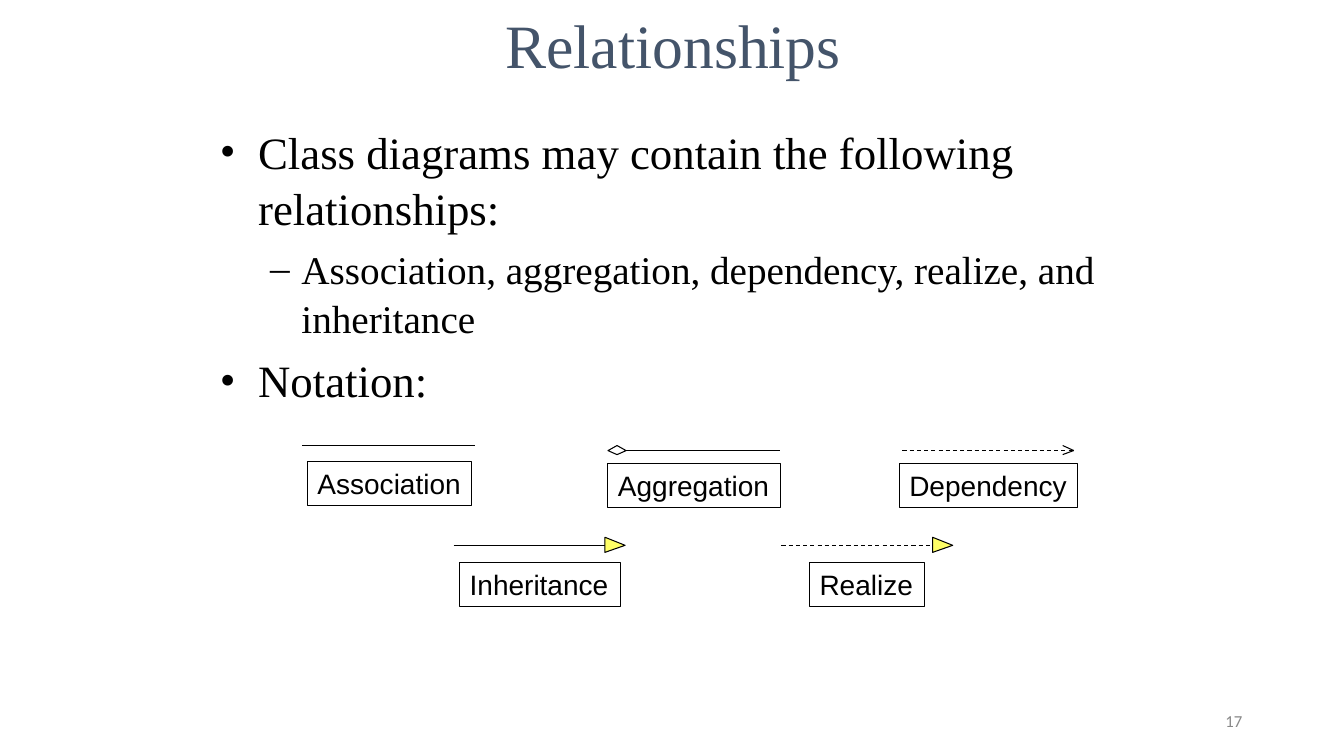
from dataclasses import dataclass

from lxml import etree
from pptx import Presentation
from pptx.dml.color import RGBColor
from pptx.enum.dml import MSO_LINE
from pptx.enum.shapes import MSO_CONNECTOR, MSO_SHAPE
from pptx.enum.text import MSO_ANCHOR, PP_ALIGN
from pptx.oxml.ns import qn
from pptx.util import Pt

PX = 9144  # EMU in one px, 100 px to the inch
STRAIGHT = MSO_CONNECTOR.STRAIGHT
RECTANGLE = MSO_SHAPE.RECTANGLE
DASH = MSO_LINE.DASH
TOP, MIDDLE = MSO_ANCHOR.TOP, MSO_ANCHOR.MIDDLE
LEFT, CENTER, RIGHT = PP_ALIGN.LEFT, PP_ALIGN.CENTER, PP_ALIGN.RIGHT


@dataclass(frozen=True)
class Theme:
    ink: str = "000000"
    heading: str = "44546A"
    muted: str = "888888"
    paper: str = "FFFFFF"
    arrow: str = "FFFF66"
    serif: str = "Times New Roman"
    sans: str = "Arial"
    footer: str = "Calibri"
    title_size: int = 44
    body_size: int = 32
    detail_size: int = 28
    label_size: int = 20
    number_size: int = 12
    line_width: float = 0.75
    body_spacing: float = 1.05


class Board:
    def __init__(self, page, theme):
        self.page = page
        self.theme = theme

    def stroke(self, shape):
        shape.line.color.rgb = RGBColor.from_string(self.theme.ink)
        shape.line.width = Pt(self.theme.line_width)

    def frame(self, shape, anchor, wrap=True, inset=(10, 5)):
        across, down = (value * PX for value in inset)
        settings = {
            "word_wrap": wrap, "vertical_anchor": anchor,
            "margin_left": across, "margin_right": across,
            "margin_top": down, "margin_bottom": down,
        }
        for name, value in settings.items():
            setattr(shape.text_frame, name, value)
        return shape.text_frame

    def add_span(self, para, text, size, font, color, align=LEFT):
        para.alignment = align
        span = para.add_run()
        span.text = text
        for name, value in {"size": Pt(size), "name": font}.items():
            setattr(span.font, name, value)
        span.font.color.rgb = RGBColor.from_string(color)

    def text(self, place, text, size, font, color, align):
        box = self.page.shapes.add_textbox(*(value * PX for value in place))
        para = self.frame(box, MIDDLE).paragraphs[0]
        self.add_span(para, text, size, font, color, align)

    def bullets(self, place, items):
        """Items are (text, level, size, mark, left px, hanging px, points before)."""
        theme = self.theme
        box = self.page.shapes.add_textbox(*(value * PX for value in place))
        frame = self.frame(box, TOP, inset=(12, 6))
        for index, (text, level, size, mark, left, hanging, before) in enumerate(items):
            para = frame.add_paragraph() if index else frame.paragraphs[0]
            settings = {"level": level, "space_before": Pt(before),
                        "line_spacing": theme.body_spacing}
            for name, value in settings.items():
                setattr(para, name, value)
            self.add_span(para, text, size, theme.serif, theme.ink)
            self.mark(para, mark, left, hanging)

    def mark(self, para, mark, left, hanging):
        properties = para._p.get_or_add_pPr()
        properties.set("marL", str(left * PX))
        properties.set("indent", str(-hanging * PX))
        color = etree.SubElement(properties, qn("a:buClr"))
        etree.SubElement(color, qn("a:srgbClr"), val=self.theme.ink)
        etree.SubElement(properties, qn("a:buFont"), typeface=self.theme.serif)
        etree.SubElement(properties, qn("a:buChar"), char=mark)

    def line(self, start, end, dashed=False):
        ends = (value * PX for value in (*start, *end))
        line = self.page.shapes.add_connector(STRAIGHT, *ends)
        self.stroke(line)
        if dashed:
            line.line.dash_style = DASH
        etree.SubElement(line._element.spPr, qn("a:effectLst"))

    def outline(self, points, fill):
        builder = self.page.shapes.build_freeform(*points[0], scale=PX)
        builder.add_line_segments(points[1:], close=True)
        shape = builder.convert_to_shape()
        shape.shadow.inherit = False
        shape.fill.solid()
        shape.fill.fore_color.rgb = RGBColor.from_string(fill)
        self.stroke(shape)

    def label(self, place, text):
        theme = self.theme
        shape = self.page.shapes.add_shape(RECTANGLE, *(value * PX for value in place))
        shape.shadow.inherit = False
        shape.fill.background()
        self.stroke(shape)
        para = self.frame(shape, TOP, wrap=False).paragraphs[0]
        self.add_span(para, text, theme.label_size, theme.sans, theme.ink)

    def diamond(self, x, y):
        points = [(x, y), (x + 9, y + 4), (x + 18, y), (x + 9, y - 5)]
        self.outline(points, self.theme.paper)

    def triangle(self, x, y):
        points = [(x, y), (x - 20, y + 7), (x - 20, y - 8)]
        self.outline(points, self.theme.arrow)

    def open_arrow(self, x, y):
        for rise in (4, -5):
            self.line((x, y), (x - 11, y + rise))


def main():
    deck = Presentation()
    deck.slide_width, deck.slide_height = 1333 * PX, 750 * PX
    page = deck.slides.add_slide(deck.slide_layouts[6])
    theme = Theme()
    board = Board(page, theme)

    board.text((942, 695, 300, 40), "17", theme.number_size, theme.footer,
               theme.muted, RIGHT)
    board.text((176, 14, 984, 58), "Relationships", theme.title_size, theme.serif,
               theme.heading, CENTER)
    board.bullets((206, 115, 928, 552), [
        ("Class diagrams may contain the following relationships:",
         0, theme.body_size, "•", 38, 38, 0),
        ("Association, aggregation, dependency, realize, and inheritance",
         1, theme.detail_size, "–", 81, 31, 5.6),
        ("Notation:", 0, theme.body_size, "•", 38, 38, 6.4),
    ])

    # name, line start, line end, height, dashed, head, head x, label left, top, width
    notations = [
        ("Association", 300, 471, 442, False, None, 0, 305, 458, 163),
        ("Aggregation", 603, 774, 447, False, board.diamond, 603, 603, 460, 171),
        ("Dependency", 895, 1065, 447, True, board.open_arrow, 1065, 892, 460, 177),
        ("Inheritance", 450, 620, 541, False, board.triangle, 620, 456, 558, 159),
        ("Realize", 775, 945, 541, True, board.triangle, 945, 803, 558, 114),
    ]
    for name, start, end, y, dashed, head, tip, left, top, width in notations:
        board.line((start, y), (end, y), dashed)
        if head:
            head(tip, y)
        board.label((left, top, width, 44), name)

    deck.save("out.pptx")


if __name__ == "__main__":
    main()
